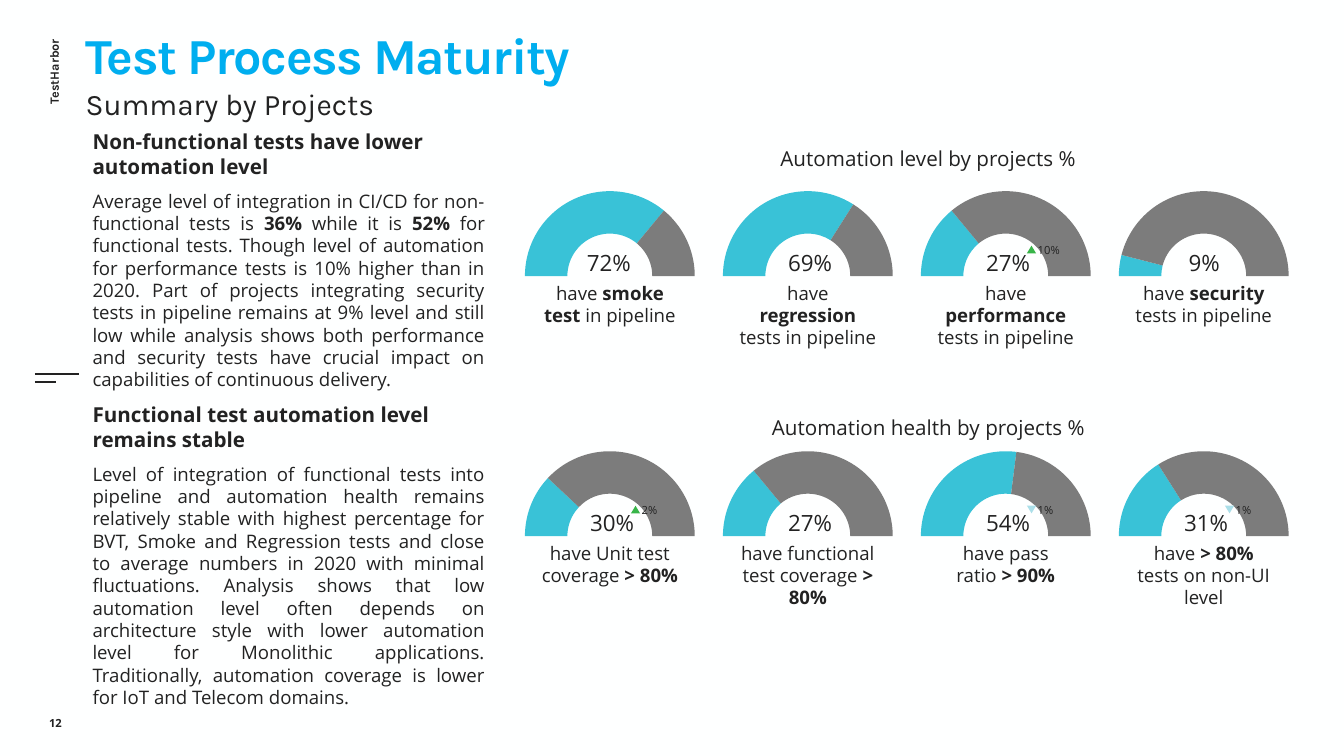
"""Builds the test process maturity slide with two rows of gauge charts."""
from dataclasses import dataclass
from typing import Optional

from lxml import etree
from pptx import Presentation
from pptx.chart.data import CategoryChartData
from pptx.dml.color import RGBColor
from pptx.enum.chart import XL_CHART_TYPE
from pptx.enum.shapes import MSO_CONNECTOR, MSO_SHAPE
from pptx.enum.text import MSO_ANCHOR, MSO_AUTO_SIZE, PP_ALIGN
from pptx.oxml import parse_xml
from pptx.oxml.ns import nsdecls, qn
from pptx.util import Inches, Pt

DOUGHNUT = XL_CHART_TYPE.DOUGHNUT
STRAIGHT = MSO_CONNECTOR.STRAIGHT
TRIANGLE = MSO_SHAPE.ISOSCELES_TRIANGLE
TOP, MIDDLE = MSO_ANCHOR.TOP, MSO_ANCHOR.MIDDLE
GROW = MSO_AUTO_SIZE.SHAPE_TO_FIT_TEXT
LEFT, CENTER, JUSTIFY = PP_ALIGN.LEFT, PP_ALIGN.CENTER, PP_ALIGN.JUSTIFY

COLORS = {"paper": "FEFFFF", "ink": "222222", "title": "00AEEF", "filled": "39C2D7",
          "rest": "7C7C7C", "up": "38B549", "down": "ABDFE9"}
HEAD_FONT, BODY_FONT = "Karla", "Open Sans"
SLIDE_W, SLIDE_H = Inches(13.33), Inches(7.5)
COL, ROW = SLIDE_W / 100, SLIDE_H / 100
GAUGE_X, GAUGE_STEP, GAUGE_W, GAUGE_H = 38.03, 14.73, 14.7, 26.4
HEADING_MID = 69.1


@dataclass(frozen=True)
class Box:
    """A rectangle in grid columns and rows."""
    x: float
    y: float
    w: float
    h: float

    def emu(self) -> tuple[int, int, int, int]:
        """Gives left, top, width and height in EMU."""
        return int(self.x * COL), int(self.y * ROW), int(self.w * COL), int(self.h * ROW)


@dataclass(frozen=True)
class Para:
    """A paragraph whose text marks bold runs with asterisks."""
    text: str
    size: float
    align: PP_ALIGN = LEFT
    font: str = BODY_FONT
    color: str = "ink"
    before: float = 0
    after: float = 0
    leading: Optional[float] = None
    spacing: Optional[int] = None


@dataclass(frozen=True)
class Gauge:
    """A half ring with its percentage, caption and yearly change."""
    percent: str
    filled: int
    caption: str
    caption_w: float
    shift: float = 0.2
    trend: str = ""
    change: str = ""


@dataclass(frozen=True)
class GaugeRow:
    """A heading over a row of gauges."""
    heading: str
    heading_y: float
    heading_w: float
    y: float
    gauges: tuple[Gauge, ...]


ROWS = (
    GaugeRow("Automation level by projects %", 18.67, 23.55, 23.33, (
        Gauge("72%", 36, "have *smoke test *in pipeline", 11.93, -0.05),
        Gauge("69%", 34, "have *regression *tests in pipeline", 11.93),
        Gauge("27%", 14, "have *performance* tests in pipeline", 13.2, trend="up", change="10%"),
        Gauge("9%", 4, "have *security* tests in pipeline", 13.2, 0.05))),
    GaugeRow("Automation health by projects %", 54.27, 24.83, 57.73, (
        Gauge("30%", 12, "have Unit test coverage *> 80%*", 11.93, trend="up", change="2%"),
        Gauge("27%", 14, "have functional test coverage *> 80%*", 13.2),
        Gauge("54%", 27, "have pass ratio *> 90%*", 8.85, trend="down", change="1%"),
        Gauge("31%", 16, "have *> 80% *tests on non-UI level", 11.63, trend="down", change="1%"))),
)
BODY = (
    Para("*Non-functional tests have lower automation level*", 14.7, after=4),
    Para("Average level of integration in CI/CD for non-functional tests is *36% *while it is *52% *"
         "for functional tests. Though level of automation for performance tests is 10% higher than "
         "in 2020. Part of projects integrating security tests in pipeline remains at 9% level and "
         "still low while analysis shows both performance and security tests have crucial impact on "
         "capabilities of continuous delivery.", 13.3, JUSTIFY, before=4, after=4),
    Para("*Functional test automation level remains stable*", 14.7, before=4, after=4),
    Para("Level of integration of functional tests into pipeline and automation health remains "
         "relatively stable with highest percentage for BVT, Smoke and Regression tests and close to "
         "average numbers in 2020 with minimal fluctuations. Analysis shows that low automation "
         "level often depends on architecture style with lower automation level for Monolithic "
         "applications. Traditionally, automation coverage is lower for IoT and Telecom domains.",
         13.3, JUSTIFY, before=4, after=4),
)


def rgb(name: str) -> RGBColor:
    """Looks up a named colour."""
    return RGBColor.from_string(COLORS[name])


def add_text(shapes, box: Box, *paras: Para, wrap: bool = True, inset: bool = True,
             anchor: MSO_ANCHOR = TOP, rotation: float = 0) -> None:
    """Adds a text box, one run at a time."""
    sp = shapes.add_textbox(*box.emu())
    sp.rotation = rotation
    tf = sp.text_frame
    tf.word_wrap, tf.auto_size, tf.vertical_anchor = wrap, GROW, anchor
    if not inset:
        tf.margin_left = tf.margin_top = tf.margin_right = tf.margin_bottom = 0
    for i, para in enumerate(paras):
        p = tf.add_paragraph() if i else tf.paragraphs[0]
        p.alignment, p.line_spacing = para.align, para.leading
        p.space_before, p.space_after = Pt(para.before), Pt(para.after)
        for j, text in enumerate(para.text.split("*")):
            if not text:
                continue
            r = p.add_run()
            r.text = text
            r.font.name, r.font.size, r.font.bold = para.font, Pt(para.size), j % 2 == 1
            r.font.color.rgb = rgb(para.color)
            if para.spacing is not None:
                r.font._element.set("spc", str(para.spacing))


def add_rule(s, x1: float, x2: float, y: float) -> None:
    """Adds a horizontal rule."""
    ln = s.shapes.add_connector(STRAIGHT, int(x1 * COL), int(y * ROW), int(x2 * COL), int(y * ROW))
    ln.line.color.rgb, ln.line.width = rgb("ink"), Pt(1.5)
    etree.SubElement(ln._element.spPr, qn("a:effectLst"))


def add_ring(s, box: Box, filled: int) -> None:
    """Adds a doughnut chart whose lower half is unfilled."""
    data = CategoryChartData()
    data.categories = ["1", "2", "3", "4"]
    data.add_series("Series 1", (filled, 50 - filled, 50, 0))
    chart = s.shapes.add_chart(DOUGHNUT, *box.emu(), data).chart
    chart.has_legend = chart.has_title = False
    chart.font.name, chart.font.size, chart.font.color.rgb = BODY_FONT, Pt(10), rgb("ink")
    plot = chart.plots[0]
    plot.vary_by_categories = True
    for i, color in enumerate(("filled", "rest", "", "up")):
        fmt = plot.series[0].points[i].format
        fmt.line.fill.background()
        if color:
            fmt.fill.solid()
            fmt.fill.fore_color.rgb = rgb(color)
        else:
            fmt.fill.background()
    area = chart._chartSpace.chart.plotArea
    area.find(".//" + qn("c:firstSliceAng")).set("val", "270")
    area.find(".//" + qn("c:holeSize")).set("val", "80")
    for old in area.findall(qn("c:layout")):
        area.remove(old)
    area.insert(0, parse_xml(
        f'<c:layout {nsdecls("c")}><c:manualLayout><c:layoutTarget val="inner"/>'
        '<c:xMode val="edge"/><c:yMode val="edge"/><c:x val="0.07"/><c:y val="0.07"/>'
        '<c:w val="0.86"/><c:h val="0.86"/></c:manualLayout></c:layout>'))


def add_trend(s, x: float, y: float, trend: str, change: str) -> None:
    """Adds a small arrow grouped with the change since last year."""
    shapes = s.shapes.add_group_shape().shapes
    sp = shapes.add_shape(TRIANGLE, *Box(x, y + 0.3, 0.68, 1).emu())
    sp.shadow.inherit = False
    sp.rotation = 180 if trend == "down" else 0
    sp.fill.solid()
    sp.fill.fore_color.rgb = rgb(trend)
    sp.line.fill.background()
    width = 0.2 + 0.55 * len(change)
    add_text(shapes, Box(x + 0.8, y, width, 1.73), Para(change, 8), wrap=False, inset=False)


def add_gauge(s, x: float, y: float, gauge: Gauge) -> None:
    """Adds a gauge with all its labels."""
    mid = x + GAUGE_W / 2
    add_ring(s, Box(x, y, GAUGE_W, GAUGE_H), gauge.filled)
    pct_w = 1.9 + 0.97 * len(gauge.percent)
    add_text(s.shapes, Box(mid + gauge.shift - pct_w / 2, y + 8.9, pct_w, 4.93),
             Para(gauge.percent, 16), wrap=False)
    add_text(s.shapes, Box(mid - gauge.caption_w / 2, y + 13.27, gauge.caption_w, 7.33),
             Para(gauge.caption, 13.3, CENTER))
    if gauge.trend:
        add_trend(s, x + 8.92, y + 8.87, gauge.trend, gauge.change)


def main() -> None:
    """Builds and saves the slide."""
    prs = Presentation()
    prs.slide_width, prs.slide_height = SLIDE_W, SLIDE_H
    s = prs.slides.add_slide(prs.slide_layouts[6])
    s.background.fill.solid()
    s.background.fill.fore_color.rgb = rgb("paper")
    add_text(s.shapes, Box(0.83, 7.73, 6.38, 3.33), Para("*TestHarbor*", 9, font=HEAD_FONT),
             wrap=False, rotation=270)
    add_rule(s, 2.6, 5.85, 49.47)
    add_rule(s, 2.6, 4.2, 50.53)
    add_text(s.shapes, Box(0, 92.93, 8.25, 5.33), Para("*12*", 8, CENTER), anchor=MIDDLE)
    add_text(s.shapes, Box(6.15, 16.4, 30.68, 78.8), *BODY)
    for row in ROWS:
        for i, gauge in enumerate(row.gauges):
            add_gauge(s, GAUGE_X + i * GAUGE_STEP, row.y, gauge)
        add_text(s.shapes, Box(HEADING_MID - row.heading_w / 2, row.heading_y, row.heading_w, 4.67),
                 Para(row.heading, 14.7), wrap=False)
    add_text(s.shapes, Box(6.38, 4.67, 75.1, 6.67),
             Para("*Test Process Maturity*", 36, font=HEAD_FONT, color="title", leading=0.8,
                  spacing=-100), inset=False)
    add_text(s.shapes, Box(6.38, 8.93, 92.05, 6.4),
             Para("Summary by Projects", 21.3, font=HEAD_FONT, leading=1.5), inset=False)
    prs.save("out.pptx")


if __name__ == "__main__":
    main()
